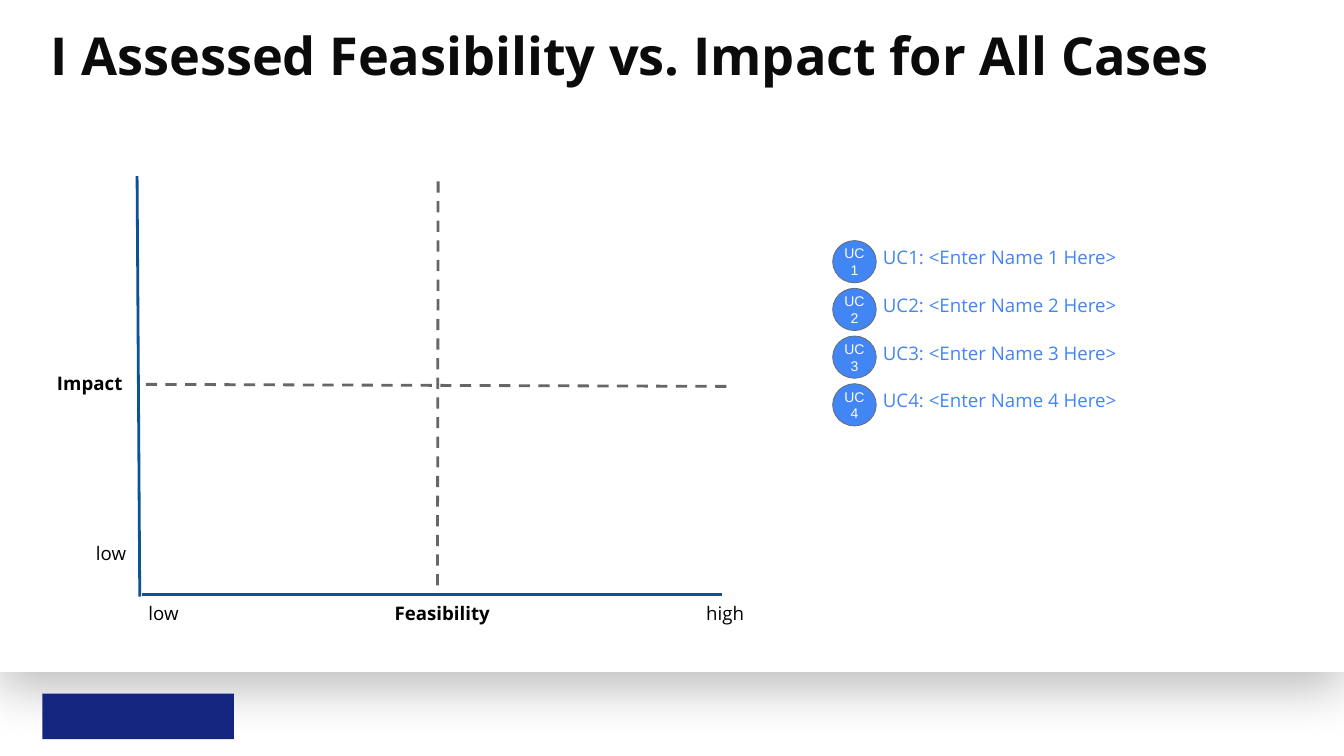
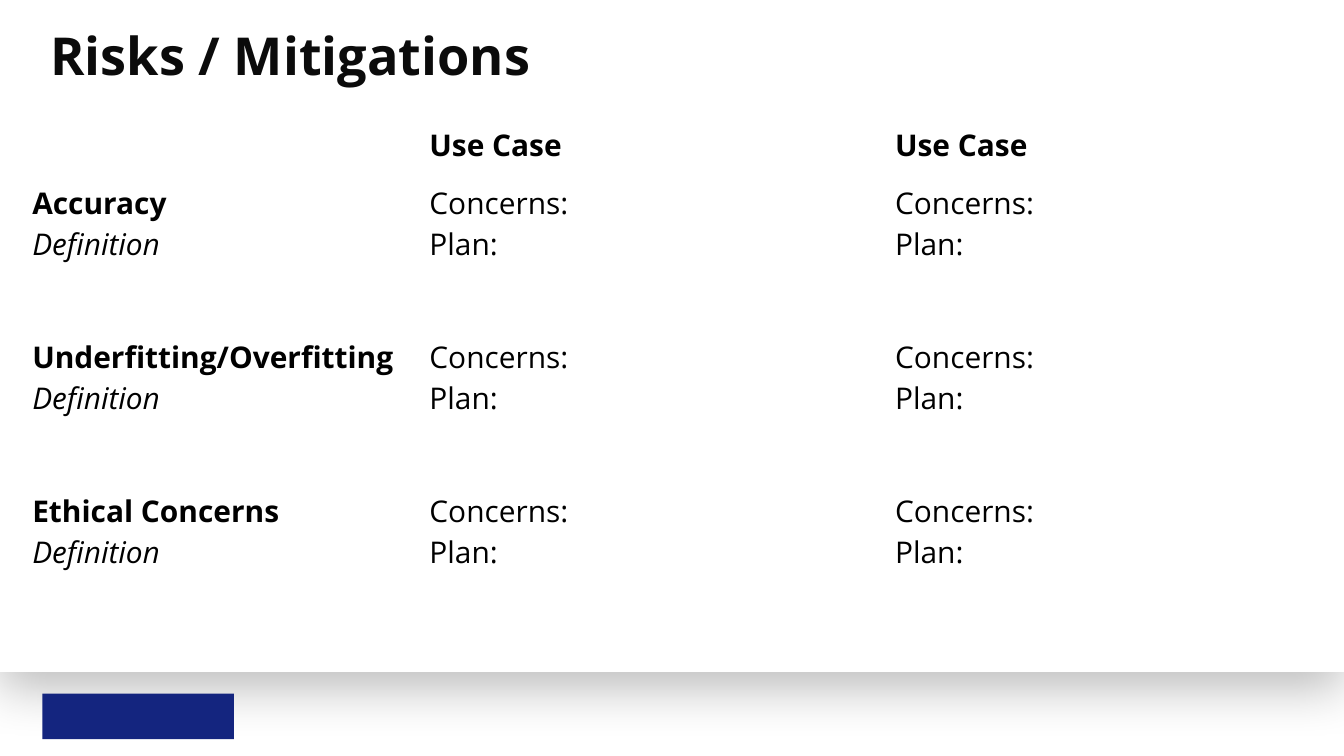
from lxml import etree
from pptx import Presentation
from pptx import util as u
from pptx.dml.color import RGBColor
from pptx.enum import dml, shapes, text
from pptx.oxml.ns import qn

COLORS = {
    "page": "FFFFFF", "badge": "14257F", "title": "0B0B0B", "text": "000000",
    "case": "4285F4", "grey": "666666", "axis": "0B5394", "shadow": "000000",
}
FONT = "Open Sans"

MATRIX_TITLE = "I Assessed Feasibility vs. Impact for All Cases"
USE_CASES = [(f"UC{n}: <Enter Name {n} Here>", str(n)) for n in range(1, 5)]
CASES_TOP, CASE_STEP = 3.58, 0.71
GUIDES_AND_AXES = [
    ((6.52, 2.7), (6.51, 8.71), "grey", True),
    ((2.17, 5.72), (10.88, 5.75), "grey", True),
    ((2.04, 2.62), (2.08, 8.88), "axis", False),
    ((10.74, 8.85), (2.11, 8.85), "axis", False),
]
AXIS_LABELS = [
    ("Impact", (0.75, 5.43, 1.43, 0.78), True, False),
    ("Feasibility", (3.62, 8.85, 5.92, 0.78), True, True),
    ("low", (2.11, 8.85, 1.14, 0.4), False, False),
    ("low", (1.33, 7.96, 1.14, 0.4), False, False),
    ("high", (10.41, 8.85, 1.39, 0.4), False, False),
]

RISKS_TITLE = "Risks / Mitigations"
RISKS = ["Accuracy", "Underfitting/Overfitting", "Ethical Concerns"]
RISK_HEADERS = ["Use Case", "Use Case"]
RISK_PROMPTS = ["Concerns:", "Plan:"]
RISK_COLUMNS = [5.91, 6.93, 6.42]
HEADER_HEIGHT, RISK_HEIGHT = 0.87, 2.29


def rgb(name):
    return RGBColor.from_string(COLORS[name])


def inches(values):
    return [u.Inches(v) for v in values]


def add_run(paragraph, words, size, color="text", bold=False, italic=False, font=FONT):
    run = paragraph.add_run()
    run.text = words
    run.font.name = font
    run.font.size = u.Pt(size)
    run.font.bold = bold
    run.font.italic = italic
    run.font.color.rgb = rgb(color)


def set_margins(frame, margin):
    frame.margin_left = frame.margin_right = u.Inches(margin)
    frame.margin_top = frame.margin_bottom = u.Inches(margin)
    frame.word_wrap = True


def add_label(slide, words, box, size=20, color="text", bold=False, centered=False, margin=0.1):
    frame = slide.shapes.add_textbox(*inches(box)).text_frame
    set_margins(frame, margin)
    paragraph = frame.paragraphs[0]
    if centered:
        paragraph.alignment = text.PP_ALIGN.CENTER
    add_run(paragraph, words, size, color, bold)


def add_filled(slide, preset, box, color):
    shape = slide.shapes.add_shape(preset, *inches(box))
    shape.shadow.inherit = False
    shape.fill.solid()
    shape.fill.fore_color.rgb = rgb(color)
    shape.line.fill.background()
    return shape


def add_page_shadow(page):
    effects = page.element.spPr.find(qn("a:effectLst"))
    shadow = etree.SubElement(
        effects, qn("a:outerShdw"), blurRad=str(u.Pt(56.2)), dist=str(u.Pt(18.8)),
        dir="5400000", algn="t", rotWithShape="0")
    color = etree.SubElement(shadow, qn("a:srgbClr"), val=COLORS["shadow"])
    etree.SubElement(color, qn("a:alpha"), val="25000")


def add_slide(deck, title):
    slide = deck.slides.add_slide(deck.slide_layouts[6])
    rectangle = shapes.MSO_SHAPE.RECTANGLE
    add_page_shadow(add_filled(slide, rectangle, (0, 0, 20, 10), "page"))
    add_filled(slide, rectangle, (0.63, 10.32, 2.85, 0.68), "badge")
    add_label(slide, title, (0.75, 0.34, 18.5, 1.65), 56, "title", bold=True, margin=0)
    return slide


def add_line(slide, start, end, color, dashed):
    line = slide.shapes.add_connector(
        shapes.MSO_CONNECTOR.STRAIGHT, *inches(start + end))
    line.line.color.rgb = rgb(color)
    line.line.width = u.Pt(3)
    if dashed:
        line.line.dash_style = dml.MSO_LINE.DASH
    etree.SubElement(line.element.spPr, qn("a:effectLst"))


def add_case_marker(slide, number, top):
    marker = add_filled(slide, shapes.MSO_SHAPE.OVAL, (12.39, top, 0.65, 0.63), "case")
    marker.line.color.rgb = rgb("grey")
    marker.line.width = u.Pt(0.75)
    frame = marker.text_frame
    set_margins(frame, 0)
    frame.vertical_anchor = text.MSO_ANCHOR.MIDDLE
    paragraph = frame.paragraphs[0]
    paragraph.alignment = text.PP_ALIGN.CENTER
    add_run(paragraph, "UC", 15, "page", font="Arial")
    paragraph.add_line_break()
    add_run(paragraph, number, 15, "page", font="Arial")


def build_matrix(deck):
    slide = add_slide(deck, MATRIX_TITLE)
    for i, (name, number) in enumerate(USE_CASES):
        top = CASES_TOP + i * CASE_STEP
        add_case_marker(slide, number, top)
        add_label(slide, name, (13.04, top - 0.02, 4.64, 0.78), color="case")
    for start, end, color, dashed in GUIDES_AND_AXES:
        add_line(slide, start, end, color, dashed)
    for words, box, bold, centered in AXIS_LABELS:
        add_label(slide, words, box, bold=bold, centered=centered)


def build_risks(deck):
    slide = add_slide(deck, RISKS_TITLE)
    heights = [HEADER_HEIGHT] + [RISK_HEIGHT] * len(RISKS)
    box = (0.38, 1.75, sum(RISK_COLUMNS), sum(heights))
    table = slide.shapes.add_table(len(heights), len(RISK_COLUMNS), *inches(box)).table
    table.first_row = table.horz_banding = False
    for column, width in zip(table.columns, RISK_COLUMNS):
        column.width = u.Inches(width)
    for row, height in zip(table.rows, heights):
        row.height = u.Inches(height)
    for cell in table.iter_cells():
        cell.fill.background()
        cell.margin_left = cell.margin_right = u.Inches(0.1)
        cell.margin_top = cell.margin_bottom = u.Inches(0.1)

    for c, header in enumerate(RISK_HEADERS, 1):
        add_run(table.cell(0, c).text_frame.paragraphs[0], header, 32, bold=True)
    for r, risk in enumerate(RISKS, 1):
        paragraph = table.cell(r, 0).text_frame.paragraphs[0]
        add_run(paragraph, risk, 32, bold=True)
        paragraph.add_line_break()
        add_run(paragraph, "Definition", 32, italic=True)
        for c in range(1, len(RISK_COLUMNS)):
            frame = table.cell(r, c).text_frame
            for i, prompt in enumerate(RISK_PROMPTS):
                paragraph = frame.add_paragraph() if i else frame.paragraphs[0]
                add_run(paragraph, prompt, 32)


def main():
    deck = Presentation()
    deck.slide_width, deck.slide_height = inches((20, 11.25))
    build_matrix(deck)
    build_risks(deck)
    deck.save("out.pptx")


if __name__ == "__main__":
    main()
